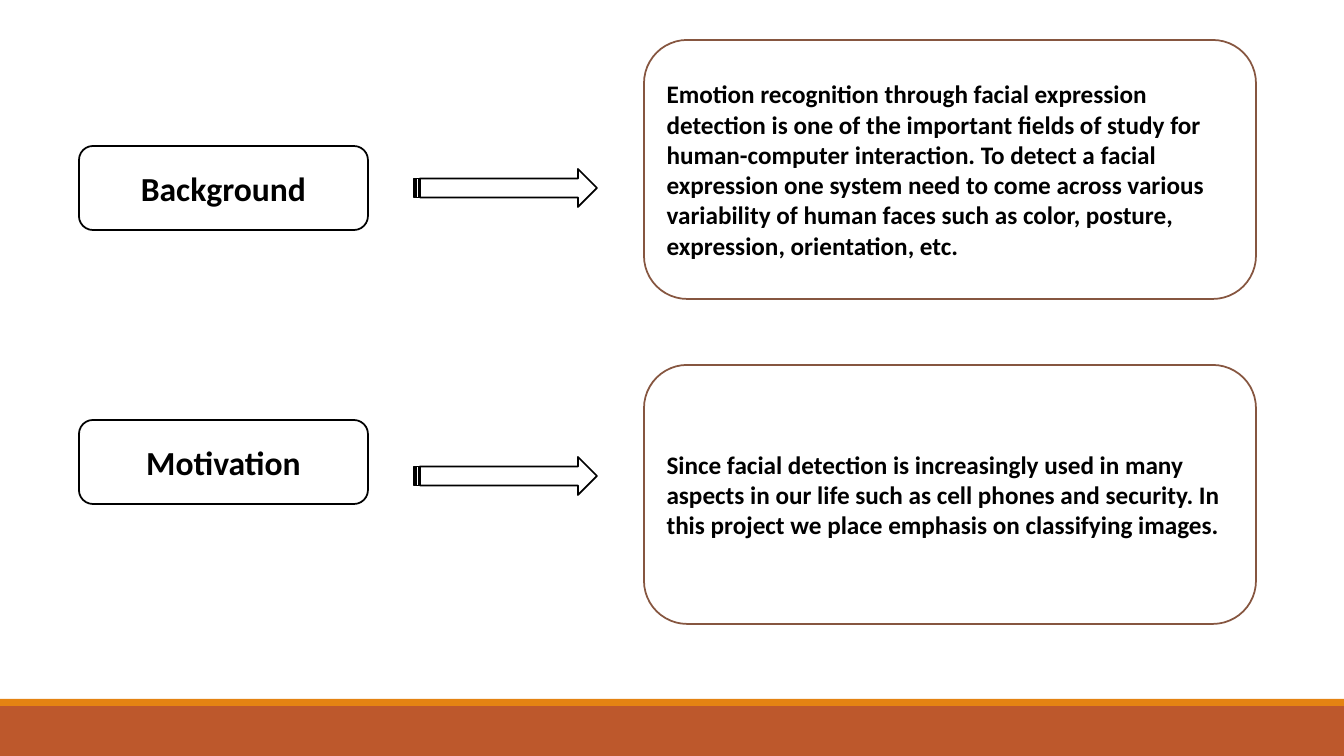
from dataclasses import dataclass

from pptx import Presentation
from pptx import util as u
from pptx.dml.color import RGBColor
from pptx.enum import shapes, text

PX = 914400 / 100.8
WIDTH, HEIGHT = 1344, 756
KIND = shapes.MSO_SHAPE


@dataclass(frozen=True)
class Theme:
    """Colours, font and type sizes of the slide."""
    paper: str = "FFFFFF"
    ink: str = "000000"
    card_edge: str = "865640"
    band: str = "BD582C"
    stripe: str = "E48312"
    font: str = "Calibri"
    label_size: int = 24
    card_size: int = 18
    outline: float = 1.25


THEME = Theme()
TOPICS = [
    dict(label="Background", label_top=146, arrow_top=169, card_top=40,
         detail="Emotion recognition through facial expression detection is one of the "
                "important fields of study for human-computer interaction. To detect a "
                "facial expression one system need to come across various variability of "
                "human faces such as color, posture, expression, orientation, etc."),
    dict(label="Motivation", label_top=420, arrow_top=457, card_top=365,
         detail="Since facial detection is increasingly used in many aspects in our life "
                "such as cell phones and security. In this project we place emphasis on "
                "classifying images."),
]


def px(length):
    """Turn pixels into EMU."""
    return u.Emu(round(length * PX))


def add_block(slide, kind, box, fill, edge=None):
    """Draw a flat preset shape in the given pixel box."""
    block = slide.shapes.add_shape(kind, *map(px, box))
    block.shadow.inherit = False
    block.fill.solid()
    block.fill.fore_color.rgb = RGBColor.from_string(fill)
    if edge:
        block.line.color.rgb = RGBColor.from_string(edge)
        block.line.width = u.Pt(THEME.outline)
    else:
        block.line.fill.background()
    return block


def write(block, wording, size, align):
    """Set bold, vertically centred text in a block."""
    frame = block.text_frame
    frame.word_wrap = True
    frame.vertical_anchor = text.MSO_ANCHOR.MIDDLE
    paragraph = frame.paragraphs[0]
    paragraph.alignment = align
    run = paragraph.add_run()
    run.text = wording
    for name, value in dict(name=THEME.font, size=u.Pt(size), bold=True).items():
        setattr(run.font, name, value)
    run.font.color.rgb = RGBColor.from_string(THEME.ink)


def add_footer(slide, left, top, width, height):
    """Draw the bottom band with its thin stripe on top."""
    stripe_height = 7
    add_block(slide, KIND.RECTANGLE,
              (left, top + stripe_height, width, height - stripe_height), THEME.band)
    add_block(slide, KIND.RECTANGLE, (left, top, width, stripe_height), THEME.stripe)


def add_topic(slide, left, width, topic):
    """Draw a label, an arrow and a detail card across the given span."""
    card_width = 612
    label = add_block(slide, KIND.ROUNDED_RECTANGLE,
                      (left, topic["label_top"], 289, 84), THEME.paper, THEME.ink)
    write(label, topic["label"], THEME.label_size, text.PP_ALIGN.CENTER)
    add_block(slide, KIND.STRIPED_RIGHT_ARROW,
              (left + 335, topic["arrow_top"], 183, 38), THEME.paper, THEME.ink)
    card = add_block(slide, KIND.ROUNDED_RECTANGLE,
                     (left + width - card_width, topic["card_top"], card_width, 259),
                     THEME.paper, THEME.card_edge)
    write(card, topic["detail"], THEME.card_size, text.PP_ALIGN.LEFT)


def main():
    """Build and save the slide."""
    deck = Presentation()
    deck.slide_width, deck.slide_height = px(WIDTH), px(HEIGHT)
    slide = deck.slides.add_slide(deck.slide_layouts[6])
    add_footer(slide, 0, 699, WIDTH, 57)
    for topic in TOPICS:
        add_topic(slide, 79, 1177, topic)
    deck.save("out.pptx")


if __name__ == "__main__":
    main()
